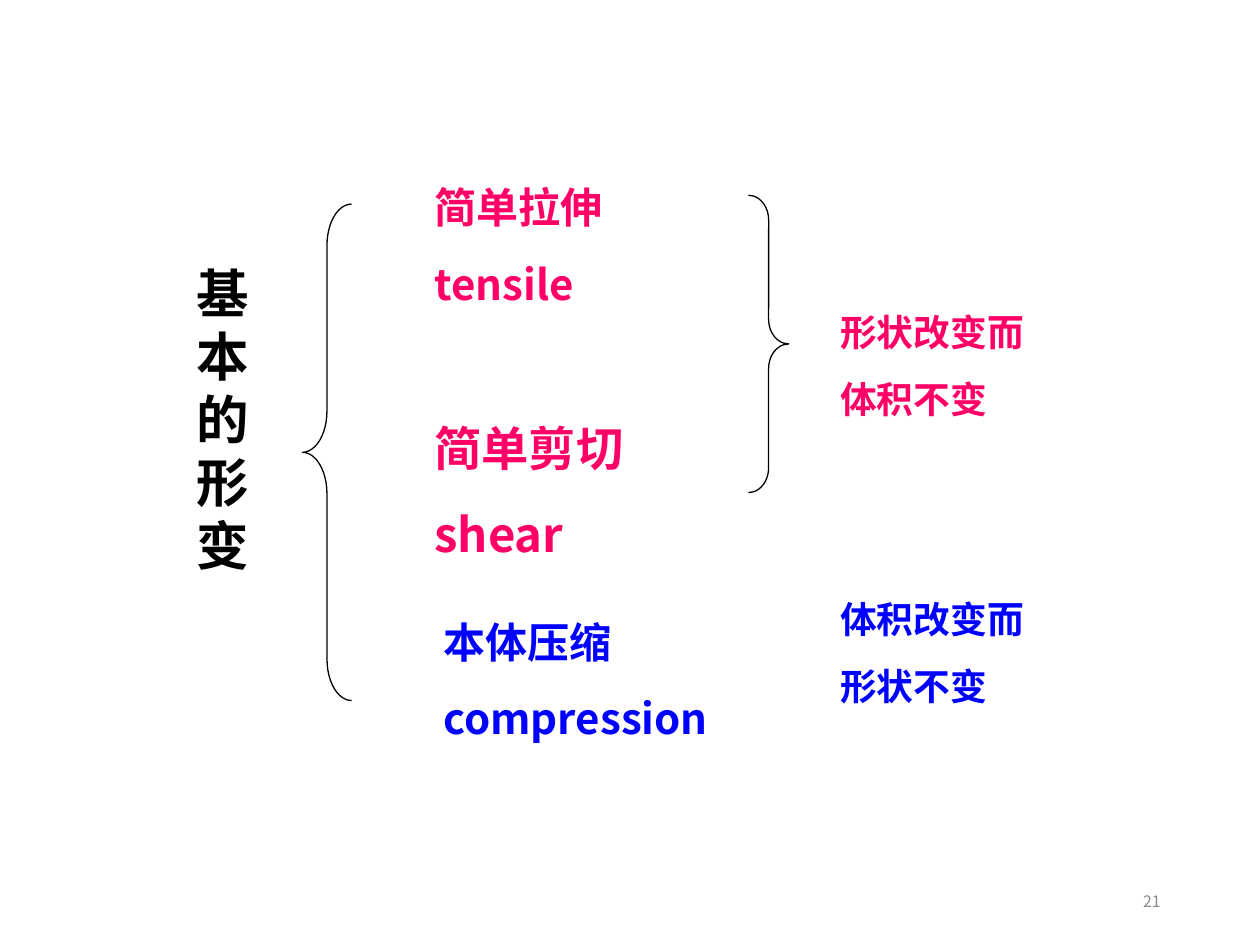
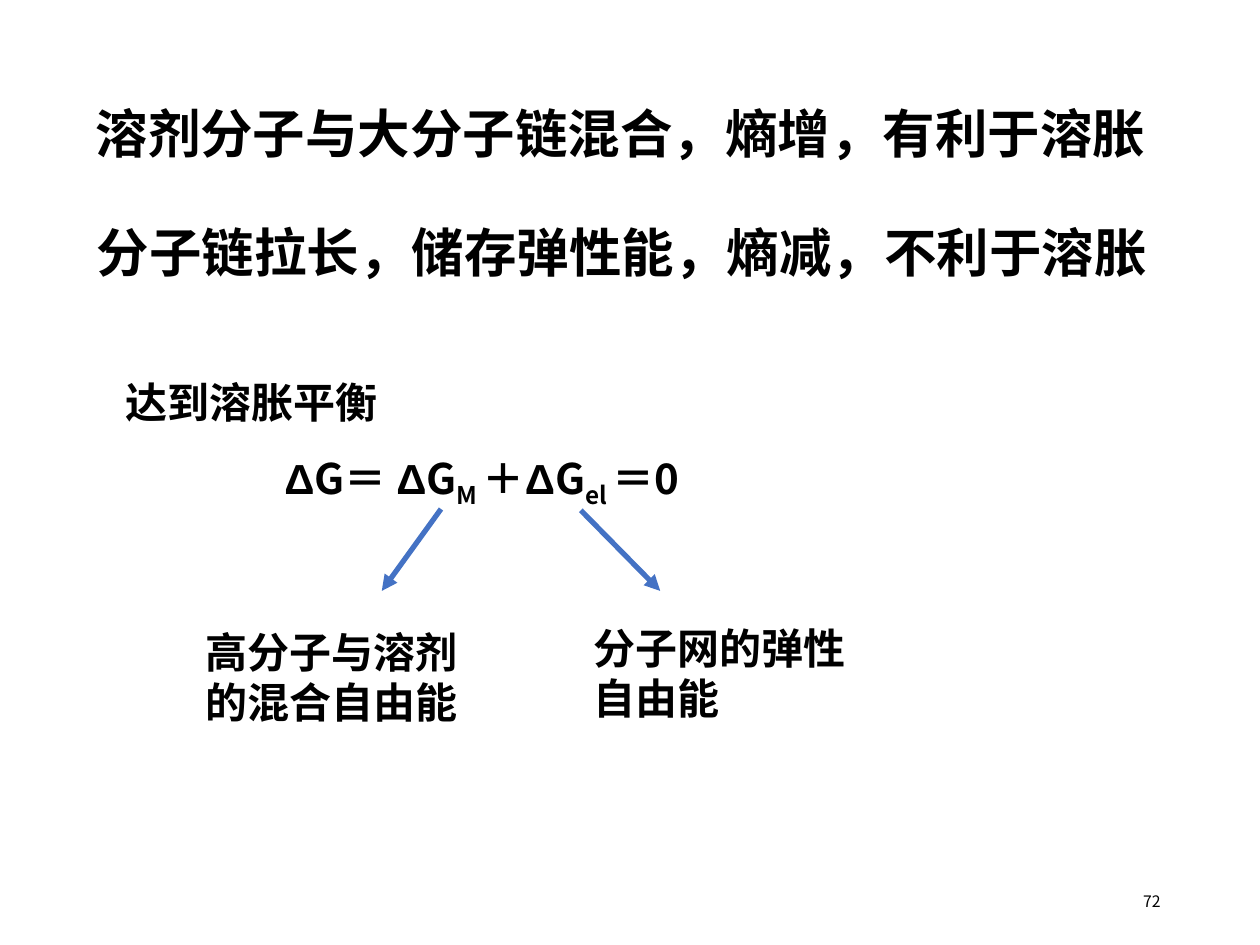
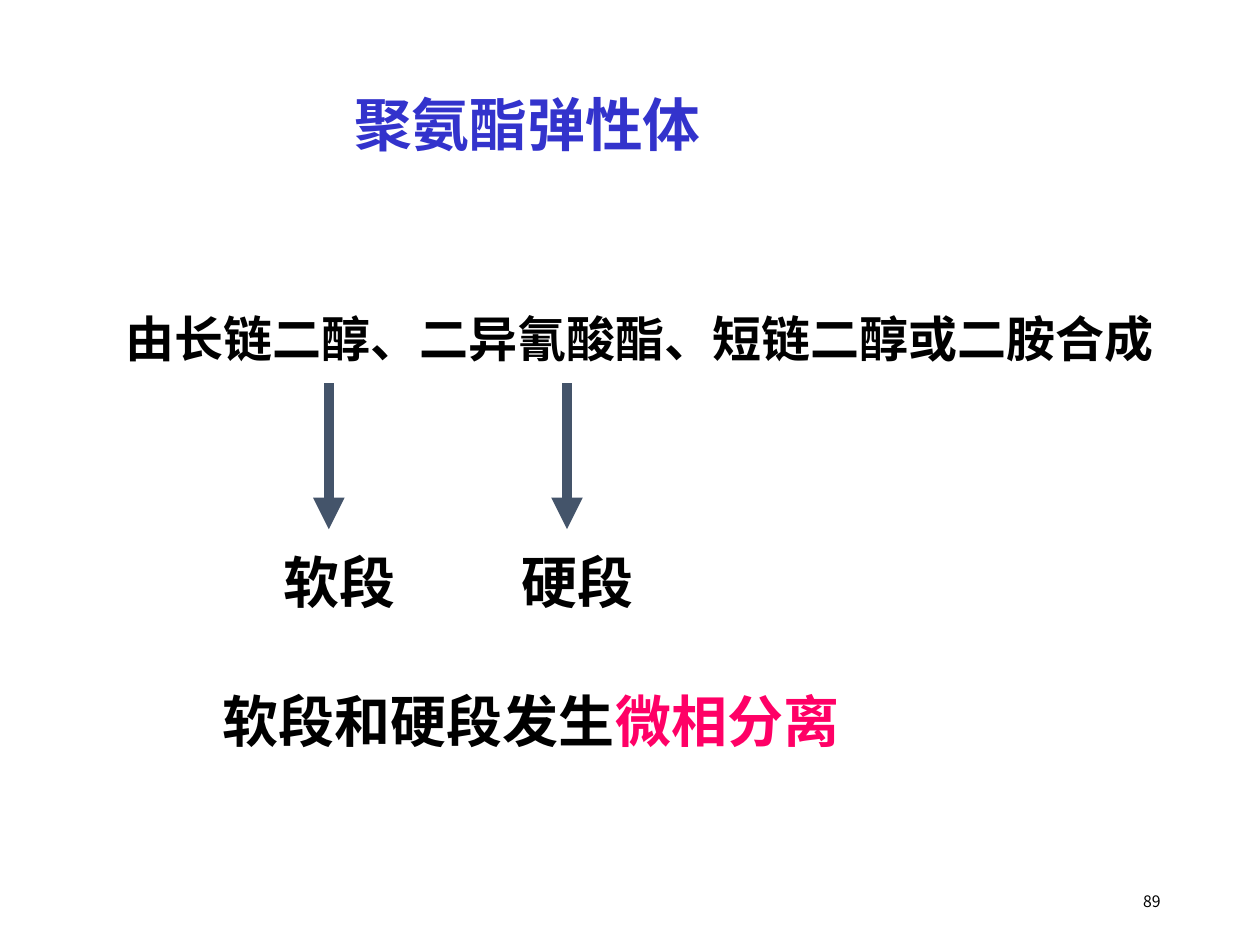
from dataclasses import dataclass

from lxml import etree
from pptx import Presentation
from pptx.dml.color import RGBColor
from pptx.enum import shapes, text
from pptx.oxml import ns
from pptx.util import Inches, Pt


@dataclass(frozen=True)
class Theme:
    font: str = "Noto Sans CJK SC"
    greek_font: str = "Arial"
    ink: str = "000000"
    pink: str = "FF0066"
    blue: str = "0000FF"
    title_blue: str = "3333CC"
    grey: str = "898989"
    arrow_blue: str = "4472C4"
    arrow_slate: str = "44546A"
    number_size: float = 9
    note_size: float = 21
    body_size: float = 24
    shear_size: float = 27
    synthesis_size: float = 28
    statement_size: float = 30
    segment_size: float = 32
    title_size: float = 33
    space_ratio: float = 0.625
    hairline: float = 0.75


THEME = Theme()


def add_run(paragraph, words, size, color, bold=True, latin=THEME.font, baseline=0):
    run = paragraph.add_run()
    run.text = words
    run.font.size = Pt(size)
    run.font.bold = bold
    run.font.color.rgb = RGBColor.from_string(color)
    run.font.name = latin
    properties = run.font._element
    for script in ("a:ea", "a:cs"):
        etree.SubElement(properties, ns.qn(script), typeface=THEME.font)
    if baseline:
        properties.set("baseline", str(baseline * 1000))


def add_frame(slide, box, anchor=text.MSO_ANCHOR.TOP):
    frame = slide.shapes.add_textbox(*map(Inches, box)).text_frame
    frame.word_wrap = True
    frame.vertical_anchor = anchor
    return frame


def add_lines(slide, box, lines, size, color=THEME.ink):
    frame = add_frame(slide, box)
    for index, words in enumerate(lines):
        paragraph = frame.add_paragraph() if index else frame.paragraphs[0]
        if index:
            paragraph.space_before = Pt(size * THEME.space_ratio)
        add_run(paragraph, words, size, color)


def add_arrow(slide, start, end, color, width):
    arrow = slide.shapes.add_connector(
        shapes.MSO_CONNECTOR.STRAIGHT, *map(Inches, (*start, *end)))
    arrow.line.color.rgb = RGBColor.from_string(color)
    arrow.line.width = Pt(width)
    etree.SubElement(arrow.line._get_or_add_ln(), ns.qn("a:tailEnd"), type="triangle")
    etree.SubElement(arrow._element.spPr, ns.qn("a:effectLst"))


def add_brace(slide, kind, box):
    brace = slide.shapes.add_shape(kind, *map(Inches, box))
    brace.shadow.inherit = False
    brace.fill.background()
    brace.line.color.rgb = RGBColor.from_string(THEME.ink)
    brace.line.width = Pt(THEME.hairline)
    brace.adjustments[0] = box[3] / 12 / box[2]


def add_page_number(slide, number, color=THEME.ink):
    paragraph = add_frame(slide, (7.06, 6.95, 2.25, 0.4), text.MSO_ANCHOR.MIDDLE).paragraphs[0]
    paragraph.alignment = text.PP_ALIGN.RIGHT
    add_run(paragraph, str(number), THEME.number_size, color, bold=False)


def add_title(slide, box, words):
    paragraph = add_frame(slide, box, text.MSO_ANCHOR.MIDDLE).paragraphs[0]
    paragraph.alignment = text.PP_ALIGN.CENTER
    paragraph.line_spacing = 0.9
    add_run(paragraph, words, THEME.title_size, THEME.title_blue)


def add_deformation_tree(slide, left, top):
    add_lines(slide, (left, top + 0.63, 0.86, 2.6), ["基本的形变"], THEME.statement_size)
    add_brace(slide, shapes.MSO_SHAPE.LEFT_BRACE, (left + 0.94, top + 0.23, 0.39, 3.94))
    kinds = [
        (1.89, 0, 1.97, 1.11, ["简单拉伸", "tensile"], THEME.body_size, THEME.pink),
        (1.89, 1.89, 2.37, 1.24, ["简单剪切", "shear"], THEME.shear_size, THEME.pink),
        (1.96, 3.45, 3.24, 1.11, ["本体压缩", "compression"], THEME.body_size, THEME.blue),
    ]
    for x, y, width, height, lines, size, color in kinds:
        add_lines(slide, (left + x, top + y, width, height), lines, size, color)


def add_deformation_effects(slide, left, top):
    add_brace(slide, shapes.MSO_SHAPE.RIGHT_BRACE, (left, top, 0.32, 2.36))
    effects = [
        (0.86, ["形状改变而", "体积不变"], THEME.pink),
        (3.14, ["体积改变而", "形状不变"], THEME.blue),
    ]
    for y, lines, color in effects:
        add_lines(slide, (left + 0.63, top + y, 2.22, 0.99), lines, THEME.note_size, color)


def add_entropy_statements(slide, left, top):
    statements = [
        "溶剂分子与大分子链混合，熵增，有利于溶胀",
        "分子链拉长，储存弹性能，熵减，不利于溶胀",
    ]
    for row, statement in enumerate(statements):
        add_lines(slide, (left + 0.01 * row, top + 0.95 * row, 8.62, 0.6),
                  [statement], THEME.statement_size)


def add_equation(slide, box):
    equation = add_frame(slide, box).paragraphs[0]
    parts = [
        ("Δ", 0), ("G＝ ", 0), ("Δ", 0), ("G", 0), ("M ", -25), ("＋", 0),
        ("Δ", 0), ("G", 0), ("el ", -25), ("＝0", 0),
    ]
    for words, baseline in parts:
        latin = THEME.greek_font if words == "Δ" else THEME.font
        add_run(equation, words, THEME.body_size, THEME.ink, latin=latin, baseline=baseline)


def add_swelling_balance(slide, left, top):
    add_lines(slide, (left, top, 2.24, 0.5), ["达到溶胀平衡"], THEME.body_size)
    add_equation(slide, (left + 1.26, top + 0.6, 5.2, 0.56))
    energies = [
        ("高分子与溶剂的混合自由能", (0.63, 1.98), (2.6, 1.1), (2.13, 1.75)),
        ("分子网的弹性自由能", (3.71, 1.95), (3.71, 1.11), (4.34, 1.75)),
    ]
    for energy, (x, y), start, end in energies:
        add_arrow(slide, (left + start[0], top + start[1]), (left + end[0], top + end[1]),
                  THEME.arrow_blue, 3)
        add_lines(slide, (left + x, top + y, 2.28, 0.9), [energy], THEME.body_size)


def add_segments(slide, left, top):
    add_lines(slide, (left, top, 8.48, 0.57),
              ["由长链二醇、二异氰酸酯、短链二醇或二胺合成"], THEME.synthesis_size)
    for column, segment in enumerate(["软段", "硬段"]):
        x = left + 1.71 + 1.89 * column
        add_arrow(slide, (x, top + 0.64), (x, top + 1.8), THEME.arrow_slate, 6)
        add_lines(slide, (x - 0.46, top + 1.9, 1.58, 0.64), [segment], THEME.segment_size)


def add_conclusion(slide, box):
    conclusion = add_frame(slide, box).paragraphs[0]
    add_run(conclusion, "软段和硬段发生", THEME.segment_size, THEME.ink)
    add_run(conclusion, "微相分离", THEME.segment_size, THEME.pink)


def build_deformation(slide):
    add_deformation_tree(slide, 1.46, 1.39)
    add_deformation_effects(slide, 5.94, 1.55)
    add_page_number(slide, 21, THEME.grey)


def build_swelling(slide):
    add_entropy_statements(slide, 0.66, 0.75)
    add_swelling_balance(slide, 0.9, 2.94)
    add_page_number(slide, 72)


def build_polyurethane(slide):
    add_title(slide, (0.61, 0.6, 7.15, 0.83), "聚氨酯弹性体")
    add_segments(slide, 0.9, 2.4)
    add_conclusion(slide, (1.67, 5.4, 5.7, 0.64))
    add_page_number(slide, 89)


def main():
    deck = Presentation()
    deck.slide_width = Inches(10)
    deck.slide_height = Inches(7.5)
    blank = deck.slide_layouts[6]
    for build in (build_deformation, build_swelling, build_polyurethane):
        build(deck.slides.add_slide(blank))
    deck.save("out.pptx")


if __name__ == "__main__":
    main()
